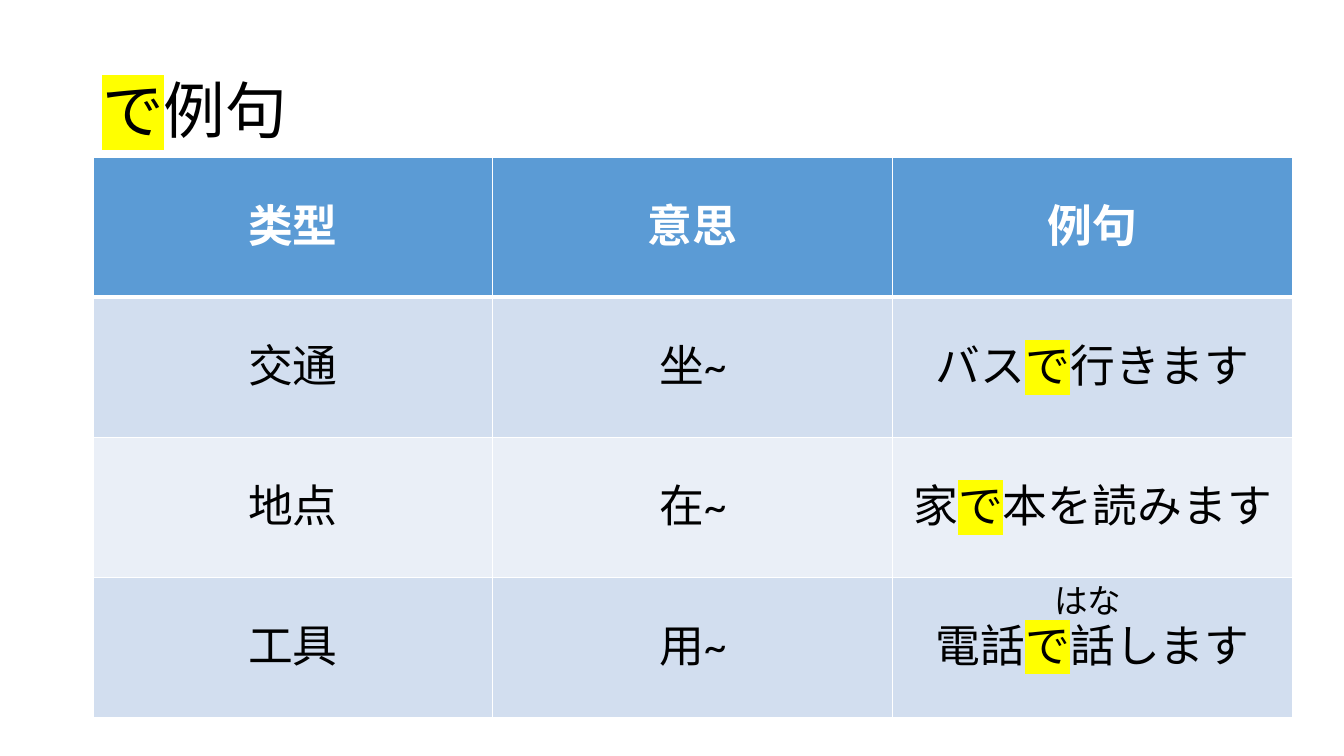
"""Builds a slide of example sentences for the Japanese particle de."""
from dataclasses import dataclass

from lxml.etree import SubElement
from pptx import Presentation
from pptx.dml.color import RGBColor
from pptx.enum.text import MSO_ANCHOR, PP_ALIGN
from pptx.oxml.ns import qn
from pptx.util import Pt


@dataclass(frozen=True)
class Theme:
    """Holds the colours and type sizes."""
    font: str = "Calibri"
    ink: str = "000000"
    white: str = "FFFFFF"
    header: str = "5B9BD5"
    bands: tuple = ("D2DEEF", "EAEFF7")
    marker: str = "FFFF00"
    title_size: int = 44
    table_size: int = 32
    reading_size: int = 24


THEME = Theme()
PARTICLE = "で"
HEADINGS = ("类型", "意思", "例句")
USES = (
    ("交通", "坐~", ("バス", PARTICLE, "行きます")),
    ("地点", "在~", ("家", PARTICLE, "本を読みます")),
    ("工具", "用~", ("電話", PARTICLE, "話します")),
)


def add_color(parent, tag, color):
    """Adds a child element that holds one colour."""
    SubElement(SubElement(parent, qn(tag)), qn("a:srgbClr"), val=color)


def write(frame, pieces, size, color=THEME.ink, bold=False,
          align=PP_ALIGN.LEFT, spacing=None):
    """Writes one paragraph and marks each piece that is the particle."""
    paragraph = frame.paragraphs[0]
    paragraph.alignment = align
    paragraph.line_spacing = spacing
    for piece in (pieces,) if isinstance(pieces, str) else pieces:
        run = paragraph.add_run()
        run.text = piece
        run.font.size = Pt(size)
        run.font.bold = bold
        run.font.color.rgb = RGBColor.from_string(color)
        properties = run.font._element
        if piece == PARTICLE:
            add_color(properties, "a:highlight", THEME.marker)
        run.font.name = THEME.font
        SubElement(properties, qn("a:ea"), typeface=THEME.font)


def add_label(slide, pieces, left, top, width, height,
              anchor=MSO_ANCHOR.TOP, **text_format):
    """Adds a wrapped text box."""
    frame = slide.shapes.add_textbox(
        Pt(left), Pt(top), Pt(width), Pt(height)).text_frame
    frame.word_wrap = True
    frame.vertical_anchor = anchor
    write(frame, pieces, **text_format)


def style_cell(cell, fill, bottom=1, top=1):
    """Sets the borders, fill and anchor of a table cell."""
    properties = cell._tc.get_or_add_tcPr()
    for side, width in (("L", 1), ("R", 1), ("T", top), ("B", bottom)):
        border = SubElement(properties, qn(f"a:ln{side}"), w=str(Pt(width)))
        add_color(border, "a:solidFill", THEME.white)
    cell.fill.solid()
    cell.fill.fore_color.rgb = RGBColor.from_string(fill)
    cell.vertical_anchor = MSO_ANCHOR.MIDDLE


def add_uses_table(slide, left, top, width, height):
    """Adds the table of uses with a header and banded rows."""
    rows = (HEADINGS, *USES)
    table = slide.shapes.add_table(
        len(rows), len(HEADINGS),
        Pt(left), Pt(top), Pt(width), Pt(height)).table
    for row_index, row in enumerate(rows):
        is_header = row_index == 0
        fill = THEME.header if is_header else THEME.bands[(row_index - 1) % 2]
        for column_index, pieces in enumerate(row):
            cell = table.cell(row_index, column_index)
            style_cell(cell, fill, bottom=3 if is_header else 1,
                       top=3 if row_index == 1 else 1)
            write(cell.text_frame, pieces, size=THEME.table_size,
                  color=THEME.white if is_header else THEME.ink,
                  bold=is_header, align=PP_ALIGN.CENTER)


def main():
    """Builds and saves the slide."""
    deck = Presentation()
    deck.slide_width, deck.slide_height = Pt(960), Pt(540)
    slide = deck.slides.add_slide(deck.slide_layouts[6])
    add_label(slide, (PARTICLE, "例句"), 66, 28.75, 828, 104.4,
              anchor=MSO_ANCHOR.MIDDLE, size=THEME.title_size, spacing=0.9)
    add_uses_table(slide, 66.4, 112.3, 857, 400)
    add_label(slide, "はな", 746, 410.4, 112, 36, size=THEME.reading_size)
    deck.save("out.pptx")


main()
